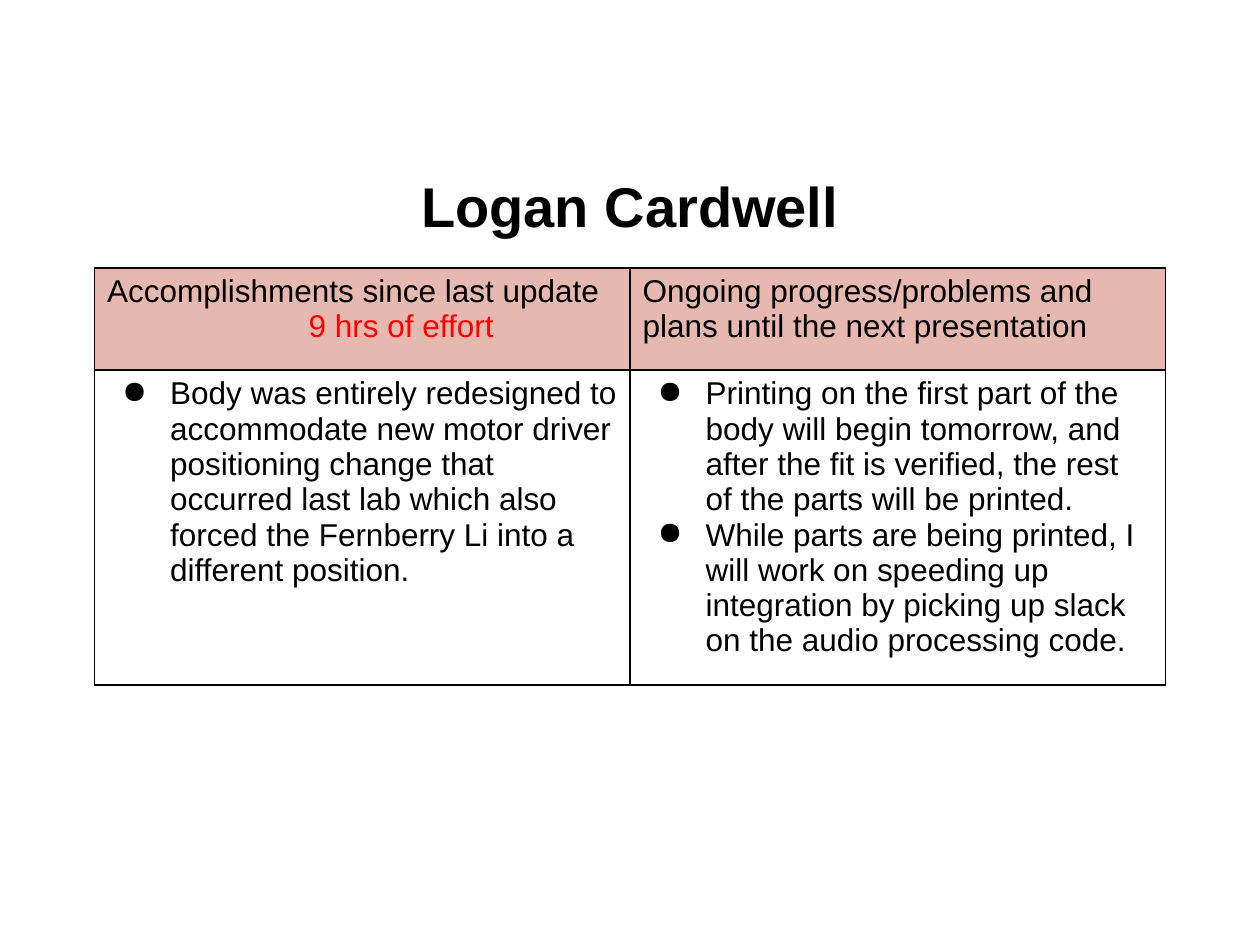
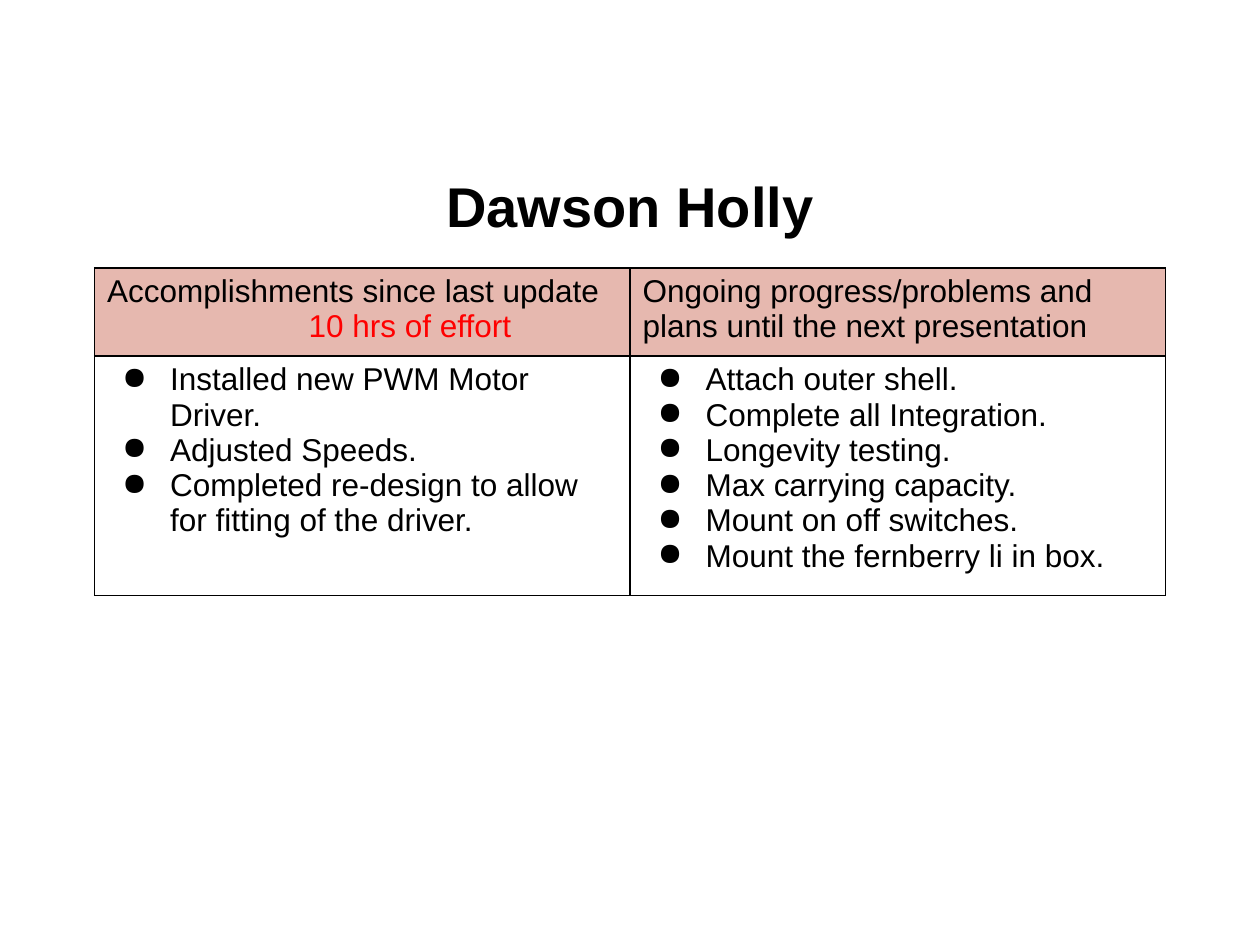
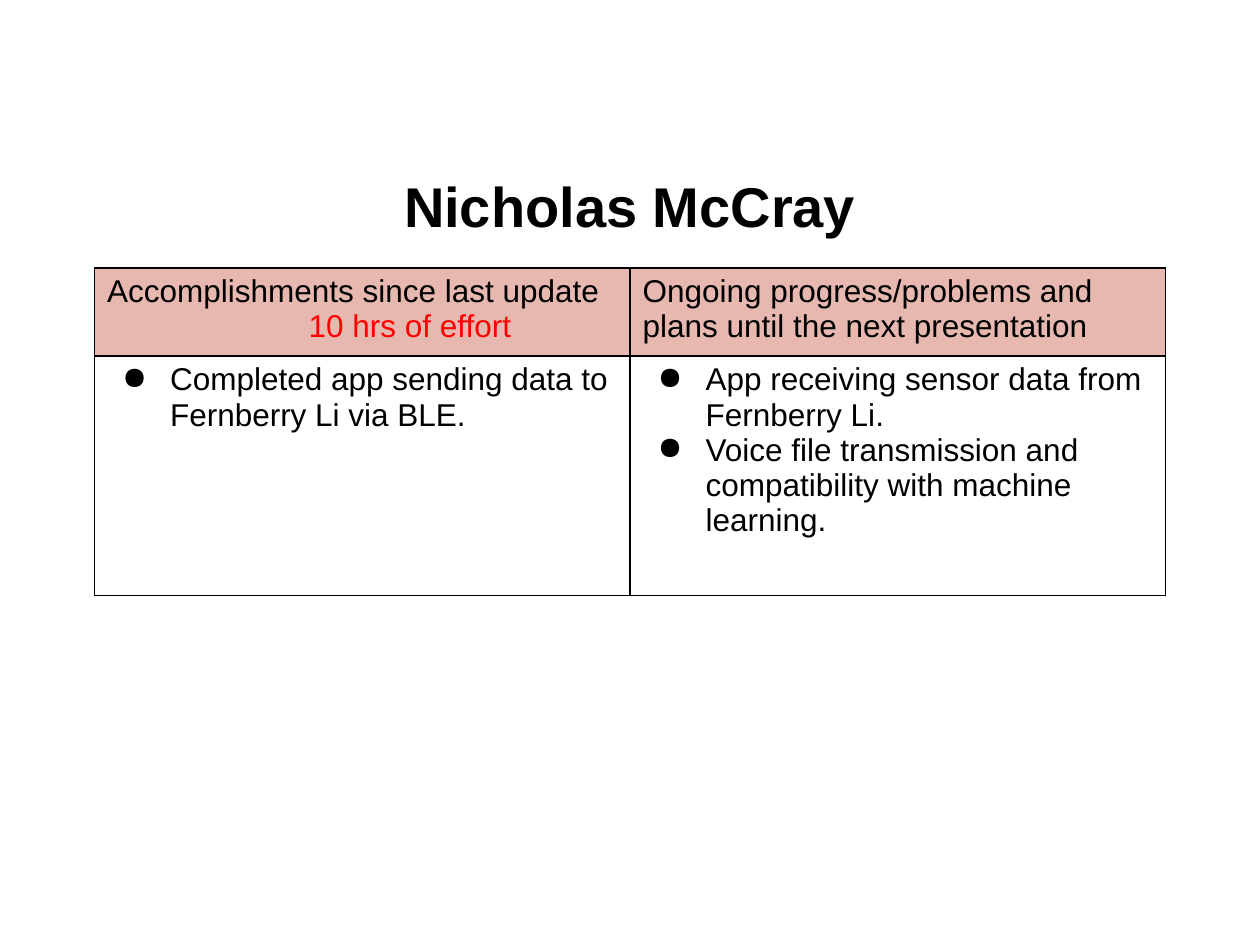
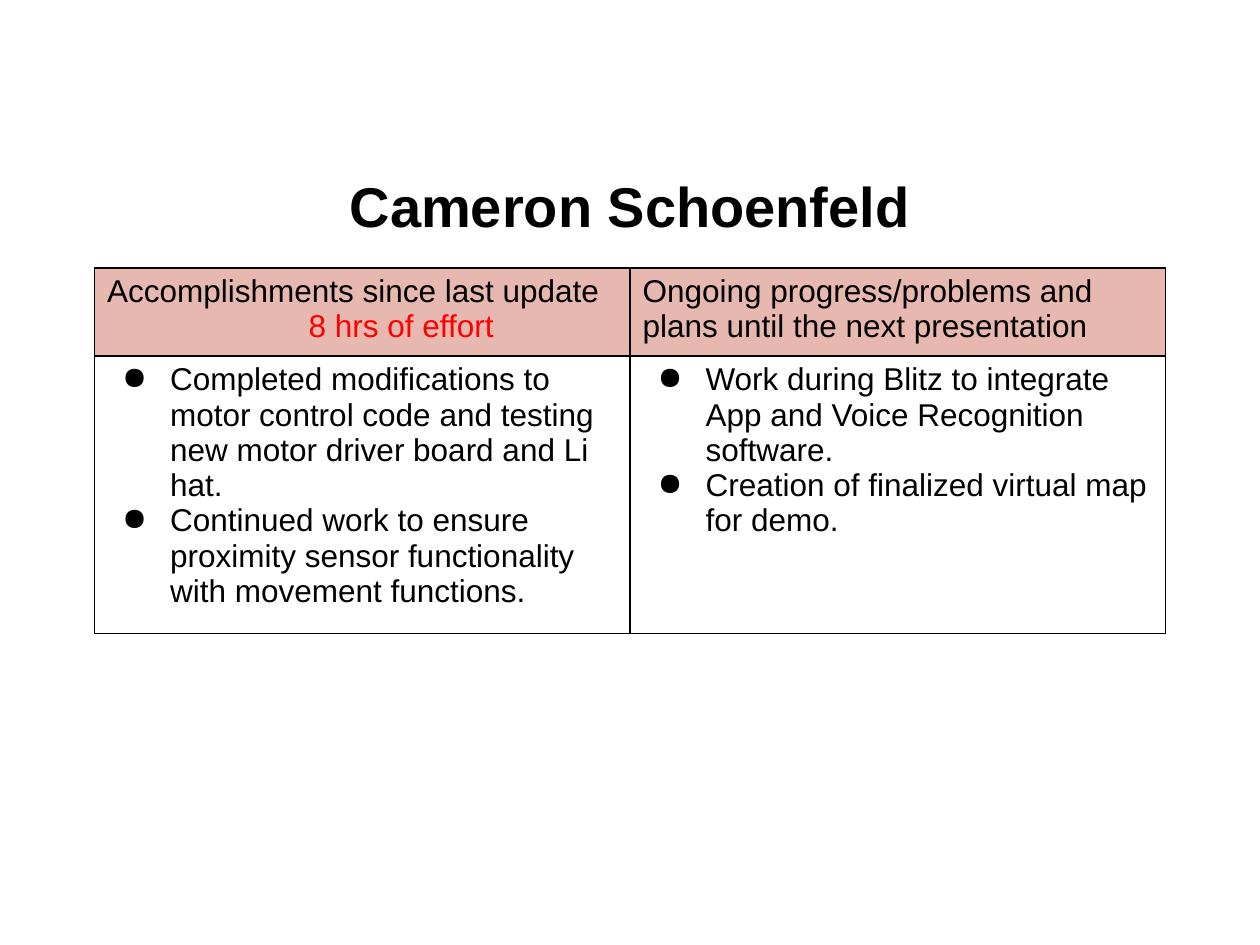
from dataclasses import dataclass

from lxml import etree
from pptx import Presentation
from pptx.dml.color import RGBColor
from pptx.enum.text import MSO_ANCHOR, PP_ALIGN
from pptx.oxml.ns import qn
from pptx.util import Inches, Pt

CENTER, LEFT = PP_ALIGN.CENTER, PP_ALIGN.LEFT
MIDDLE = MSO_ANCHOR.MIDDLE


@dataclass(frozen=True)
class Theme:
    font: str = "Arial"
    ink: str = "000000"
    effort: str = "FF0000"
    header: str = "E6B8AF"
    paper: str = "FFFFFF"
    title_size: int = 32
    body_size: int = 18
    border: int = 1
    bullet: str = "●"
    bullet_indent: float = 0.5
    bullet_hang: float = 0.38
    effort_indent: float = 1.6


THEME = Theme()
GRID_COLUMNS, GRID_ROWS = 40, 60
DONE_HEADING = "Accomplishments since last update"
PLANS_HEADING = "Ongoing progress/problems and plans until the next presentation"


def add_text(frame, text, first=False, size=THEME.body_size, color=THEME.ink, bold=False,
             align=LEFT, spacing=None, indent=0, bullet=False):
    """Write one paragraph into a text frame."""
    paragraph = frame.paragraphs[0] if first else frame.add_paragraph()
    paragraph.alignment = align
    if spacing:
        paragraph.line_spacing = spacing
    properties = paragraph._p.get_or_add_pPr()
    if bullet:
        indent = THEME.bullet_indent
        properties.set("indent", str(-Inches(THEME.bullet_hang)))
        bullet_color = etree.SubElement(properties, qn("a:buClr"))
        etree.SubElement(bullet_color, qn("a:srgbClr"), val=THEME.ink)
        etree.SubElement(properties, qn("a:buChar"), char=THEME.bullet)
    if indent:
        properties.set("marL", str(Inches(indent)))
    run = paragraph.add_run()
    run.text = text
    run.font.name = THEME.font
    run.font.size = Pt(size)
    run.font.bold = bold
    run.font.color.rgb = RGBColor.from_string(color)


class Deck:
    """Holds the presentation, its grid and the current slide."""

    def __init__(self):
        self.show = Presentation()
        self.show.slide_width, self.show.slide_height = Inches(10), Inches(7.5)
        self.slide = None

    def x(self, columns):
        return round(self.show.slide_width * columns / GRID_COLUMNS)

    def y(self, rows):
        return round(self.show.slide_height * rows / GRID_ROWS)

    def new_slide(self):
        self.slide = self.show.slides.add_slide(self.show.slide_layouts[6])
        background = self.slide.background.fill
        background.solid()
        background.fore_color.rgb = RGBColor.from_string(THEME.paper)

    def title(self, name):
        box = self.slide.shapes.add_textbox(self.x(2), self.y(9.2), self.x(36), self.y(7))
        frame = box.text_frame
        frame.word_wrap = True
        frame.vertical_anchor = MIDDLE
        add_text(frame, name, first=True, size=THEME.title_size, bold=True,
                 align=CENTER, spacing=1.15)

    def style_cell(self, cell, fill=None):
        properties = cell._tc.get_or_add_tcPr()
        for side in ("a:lnL", "a:lnR", "a:lnT", "a:lnB"):
            line = etree.SubElement(properties, qn(side), w=str(Pt(THEME.border)))
            line_fill = etree.SubElement(line, qn("a:solidFill"))
            etree.SubElement(line_fill, qn("a:srgbClr"), val=THEME.ink)
        if fill:
            cell.fill.solid()
            cell.fill.fore_color.rgb = RGBColor.from_string(fill)
        else:
            cell.fill.background()

    def report_table(self, hours, done, plans, row_heights):
        table = self.slide.shapes.add_table(
            2, 2, self.x(3), self.y(17), self.x(34), self.y(sum(row_heights))).table
        table.first_row = table.horz_banding = False
        for row, height in zip(table.rows, row_heights):
            row.height = self.y(height)

        # Headings, with the effort under the first one
        for column, heading in enumerate((DONE_HEADING, PLANS_HEADING)):
            cell = table.cell(0, column)
            self.style_cell(cell, THEME.header)
            add_text(cell.text_frame, heading, first=True)
        add_text(table.cell(0, 0).text_frame, f"{hours} hrs of effort",
                 color=THEME.effort, indent=THEME.effort_indent)

        # Bulleted points
        for column, points in enumerate((done, plans)):
            cell = table.cell(1, column)
            self.style_cell(cell)
            for number, point in enumerate(points):
                add_text(cell.text_frame, point, first=number == 0, bullet=True)


# Heights of the heading and body rows, in grid rows
TALL_ROWS, USUAL_ROWS = (6.5, 17.6), (5.6, 15.2)

# Member, hours, accomplishments, plans, row heights
REPORTS = [
    ("Logan Cardwell", 9,
     ["Body was entirely redesigned to accommodate new motor driver positioning change that "
      "occurred last lab which also forced the Fernberry Li into a different position."],
     ["Printing on the first part of the body will begin tomorrow, and after the fit is "
      "verified, the rest of the parts will be printed.",
      "While parts are being printed, I will work on speeding up integration by picking up "
      "slack on the audio processing code."],
     TALL_ROWS),
    ("Dawson Holly", 10,
     ["Installed new PWM Motor Driver.",
      "Adjusted Speeds.",
      "Completed re-design to allow for fitting of the driver."],
     ["Attach outer shell.",
      "Complete all Integration.",
      "Longevity testing.",
      "Max carrying capacity.",
      "Mount on off switches.",
      "Mount the fernberry li in box."],
     USUAL_ROWS),
    ("Nicholas McCray", 10,
     ["Completed app sending data to Fernberry Li via BLE."],
     ["App receiving sensor data from Fernberry Li.",
      "Voice file transmission and compatibility with machine learning."],
     USUAL_ROWS),
    ("Cameron Schoenfeld", 8,
     ["Completed modifications to motor control code and testing new motor driver board "
      "and Li hat.",
      "Continued work to ensure proximity sensor functionality with movement functions."],
     ["Work during Blitz to integrate App and Voice Recognition software.",
      "Creation of finalized virtual map for demo."],
     USUAL_ROWS),
]


def main():
    deck = Deck()
    for member, hours, done, plans, row_heights in REPORTS:
        deck.new_slide()
        deck.title(member)
        deck.report_table(hours, done, plans, row_heights)
    deck.show.save("out.pptx")


if __name__ == "__main__":
    main()
